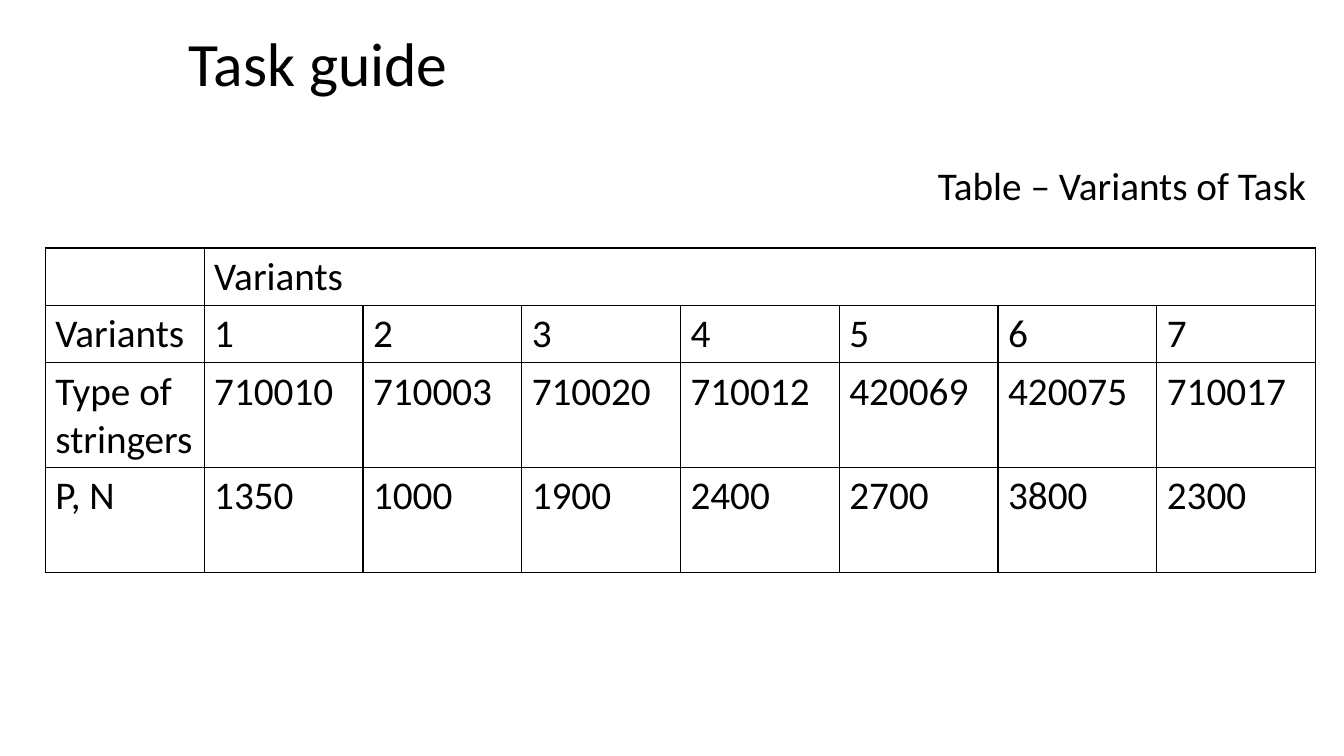
from dataclasses import dataclass

from lxml import etree
from pptx import Presentation, util as u
from pptx.dml.color import RGBColor
from pptx.enum import text as t
from pptx.oxml import ns

BLACK = RGBColor(0x00, 0x00, 0x00)
WHITE = RGBColor(0xFF, 0xFF, 0xFF)
FONT = "Calibri"
TITLE_SIZE, TEXT_SIZE = 44, 28
BORDER_WIDTH = u.Pt(1)


@dataclass(frozen=True)
class Box:
    left: float
    top: float
    width: float
    height: float

    def place(self) -> tuple[int, ...]:
        return tuple(u.Inches(side) for side in
                     (self.left, self.top, self.width, self.height))


@dataclass(frozen=True)
class TableRow:
    height: float
    label: str
    values: tuple[str, ...]


# Page grid: the caption and the table share a right edge
TABLE_LEFT, TABLE_WIDTH = 0.45, 12.6
CAPTION_WIDTH = 4.36
LINE_ROW, TALL_ROW = 0.57, 1.04
TITLE_BOX = Box(1.77, 0.2, 10.48, 0.93)
CAPTION_BOX = Box(TABLE_LEFT + TABLE_WIDTH - CAPTION_WIDTH, 1.55,
                  CAPTION_WIDTH, 0.57)

ROWS = (
    TableRow(LINE_ROW, "", ("Variants",)),
    TableRow(LINE_ROW, "Variants", tuple(str(number) for number in range(1, 8))),
    TableRow(TALL_ROW, "Type of stringers",
             ("710010", "710003", "710020", "710012", "420069", "420075", "710017")),
    TableRow(TALL_ROW, "P, N",
             ("1350", "1000", "1900", "2400", "2700", "3800", "2300")),
)
COLUMN_COUNT = 1 + max(len(row.values) for row in ROWS)
TABLE_BOX = Box(TABLE_LEFT, 2.46, TABLE_WIDTH, sum(row.height for row in ROWS))


def write(frame, words: str, size: float, alignment=t.PP_ALIGN.LEFT):
    paragraph = frame.paragraphs[0]
    paragraph.alignment = alignment
    run = paragraph.add_run()
    run.text = words
    run.font.name, run.font.size = FONT, u.Pt(size)
    run.font.color.rgb = BLACK
    return paragraph


def add_borders(cell) -> None:
    properties = cell._tc.get_or_add_tcPr()
    for index, side in enumerate("LRTB"):
        line = etree.Element(ns.qn(f"a:ln{side}"), w=str(BORDER_WIDTH))
        fill = etree.SubElement(line, ns.qn("a:solidFill"))
        etree.SubElement(fill, ns.qn("a:srgbClr"), val=str(BLACK))
        properties.insert(index, line)


def add_title(slide) -> None:
    title = slide.shapes.title
    title.left, title.top, title.width, title.height = TITLE_BOX.place()
    frame = title.text_frame
    frame.auto_size = t.MSO_AUTO_SIZE.NONE
    frame.vertical_anchor = t.MSO_ANCHOR.MIDDLE
    write(frame, "Task guide", TITLE_SIZE).line_spacing = 0.9


def add_caption(slide) -> None:
    frame = slide.shapes.add_textbox(*CAPTION_BOX.place()).text_frame
    frame.word_wrap = True
    frame.auto_size = t.MSO_AUTO_SIZE.SHAPE_TO_FIT_TEXT
    write(frame, "Table – Variants of Task", TEXT_SIZE, t.PP_ALIGN.RIGHT)


def add_variants_table(slide) -> None:
    table = slide.shapes.add_table(len(ROWS), COLUMN_COUNT, *TABLE_BOX.place()).table
    table.first_row = table.horz_banding = False
    for column in table.columns:
        column.width = u.Inches(TABLE_WIDTH / COLUMN_COUNT)
    for row_index, row in enumerate(ROWS):
        table.rows[row_index].height = u.Inches(row.height)
        for column_index, words in enumerate((row.label, *row.values)):
            if words:
                write(table.cell(row_index, column_index).text_frame, words, TEXT_SIZE)
    for cell in table.iter_cells():
        cell.fill.background()
        add_borders(cell)
    # The heading spans every variant column
    table.cell(0, 1).merge(table.cell(0, COLUMN_COUNT - 1))


presentation = Presentation()
presentation.slide_width, presentation.slide_height = u.Inches(13.33), u.Inches(7.5)
slide = presentation.slides.add_slide(presentation.slide_layouts.get_by_name("Title Only"))
slide.background.fill.solid()
slide.background.fill.fore_color.rgb = WHITE

add_title(slide)
add_caption(slide)
add_variants_table(slide)

presentation.save("out.pptx")
